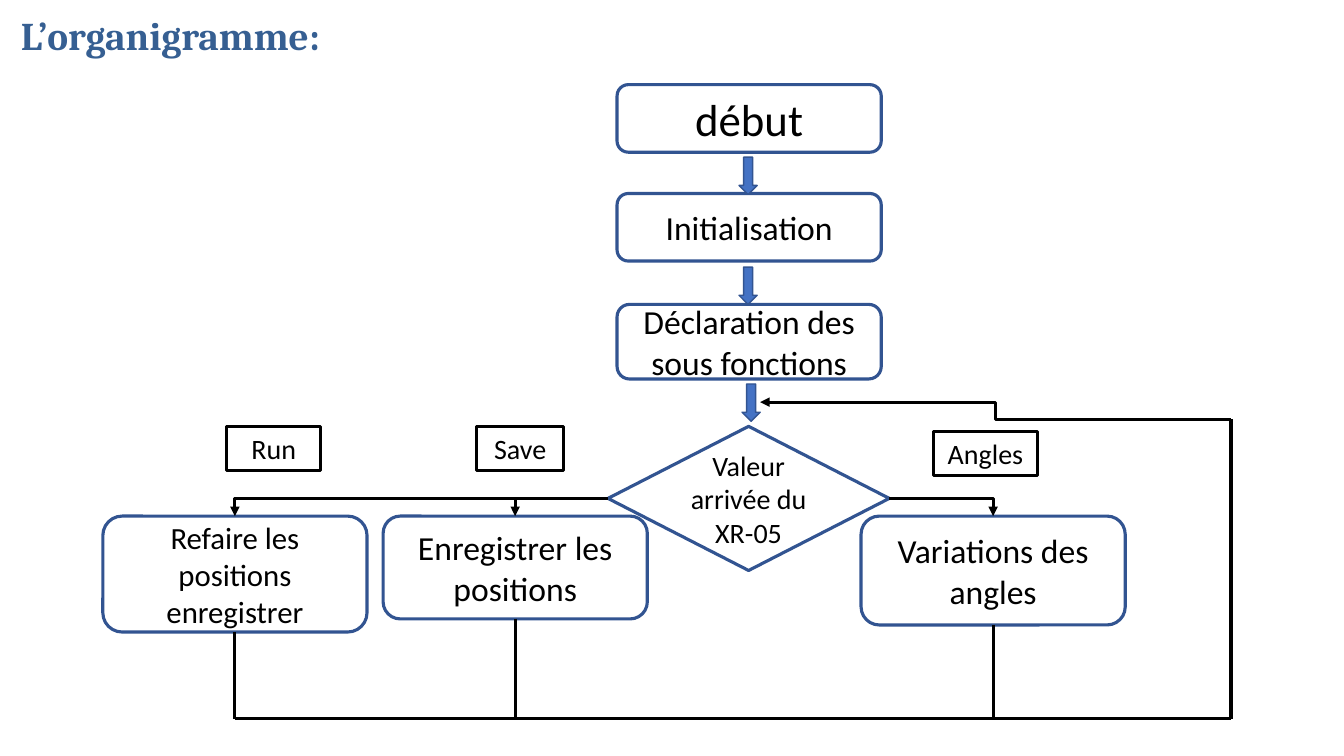
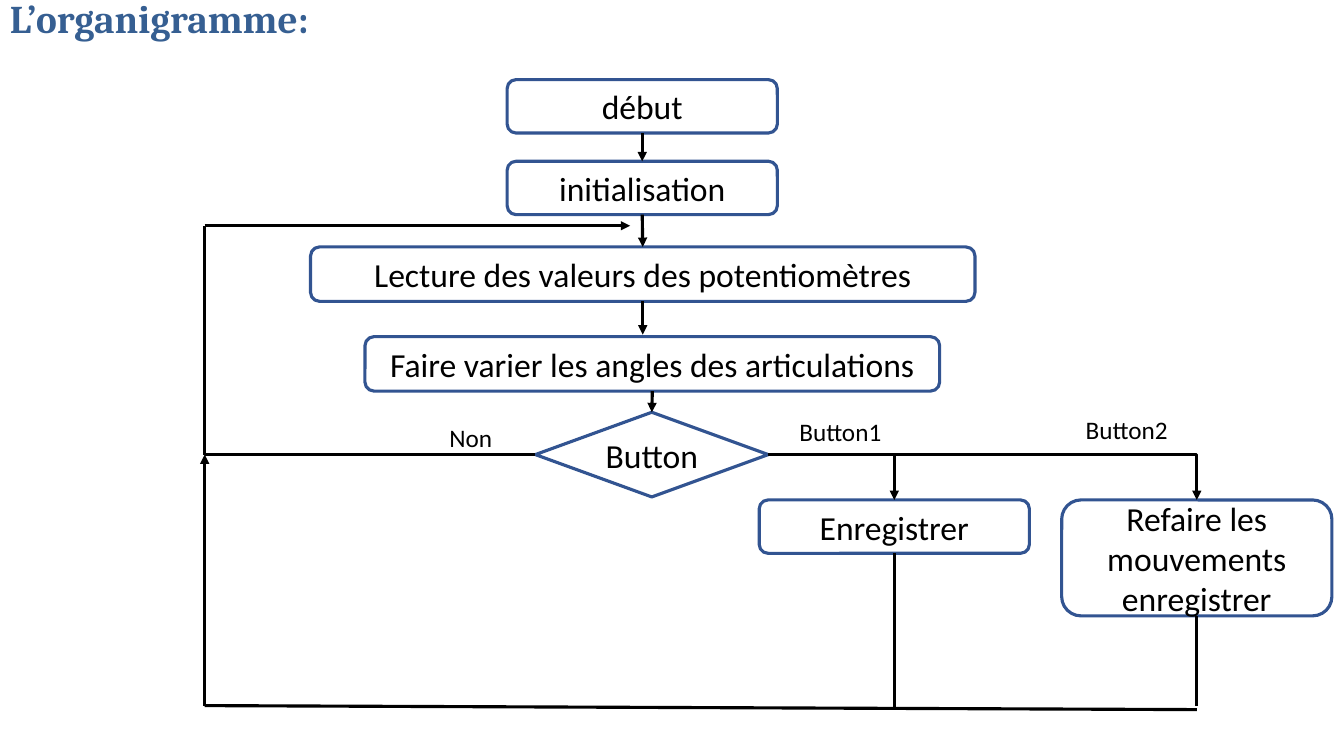
from dataclasses import dataclass
from itertools import pairwise
from typing import NamedTuple, Optional, Union

from pptx import Presentation
from pptx.dml.color import RGBColor
from pptx.enum.shapes import MSO_CONNECTOR, MSO_SHAPE
from pptx.enum.text import MSO_ANCHOR, MSO_AUTO_SIZE, PP_ALIGN
from pptx.oxml.ns import qn
from pptx.shapes.autoshape import Shape
from pptx.slide import Slide
from pptx.util import Inches, Pt
from lxml.etree import SubElement

COLORS = {
    "title": "365F92",
    "outline": "325491",
    "arrow": "4472C4",
    "box": "FFFFFF",
    "ink": "000000",
}
BODY_FONT, TITLE_FONT = "Calibri", "Cambria"
LINE_WIDTH = 2.25
# Connection sites of boxes and diamonds
TOP, LEFT, BOTTOM, RIGHT = range(4)


class Point(NamedTuple):
    x: float
    y: float


class Site(NamedTuple):
    shape: Shape
    index: int


End = Union[Point, Site]


@dataclass
class Node:
    text: str
    left: float
    top: float
    width: float
    height: float
    size: int = 24
    kind: MSO_SHAPE = MSO_SHAPE.ROUNDED_RECTANGLE
    fill: Optional[str] = "box"
    line: str = "outline"


@dataclass
class Note:
    text: str
    left: float
    top: float
    width: float


def rgb(name: str) -> RGBColor:
    return RGBColor.from_string(COLORS[name])


def style_text(sp: Shape, text: str, size: int, font: str = BODY_FONT,
               color: str = "ink", bold: bool = False,
               align: PP_ALIGN = PP_ALIGN.LEFT) -> None:
    p = sp.text_frame.paragraphs[0]
    p.text = text
    p.alignment = align
    p.font.name, p.font.size, p.font.bold = font, Pt(size), bold
    p.font.color.rgb = rgb(color)


def add_title(slide: Slide, left: float, top: float) -> None:
    sp = slide.shapes.add_textbox(Inches(left), Inches(top), Inches(3.25), Inches(0.53))
    tf = sp.text_frame
    tf.word_wrap = False
    tf.auto_size = MSO_AUTO_SIZE.SHAPE_TO_FIT_TEXT
    tf.vertical_anchor = MSO_ANCHOR.MIDDLE
    style_text(sp, "L’organigramme:", 28, TITLE_FONT, "title", bold=True)
    tf.paragraphs[0].line_spacing = 0.9


def add_preset(slide: Slide, kind: MSO_SHAPE, left: float, top: float, width: float,
               height: float, fill: Optional[str], line: str, weight: float) -> Shape:
    sp = slide.shapes.add_shape(kind, Inches(left), Inches(top),
                                Inches(width), Inches(height))
    sp.shadow.inherit = False
    if fill:
        sp.fill.solid()
        sp.fill.fore_color.rgb = rgb(fill)
    else:
        sp.fill.background()
    sp.line.color.rgb = rgb(line)
    sp.line.width = Pt(weight)
    return sp


def add_node(slide: Slide, node: Node) -> Shape:
    sp = add_preset(slide, node.kind, node.left, node.top, node.width, node.height,
                    node.fill, node.line, LINE_WIDTH)
    sp.text_frame.word_wrap = True
    sp.text_frame.vertical_anchor = MSO_ANCHOR.MIDDLE
    style_text(sp, node.text, node.size, align=PP_ALIGN.CENTER)
    return sp


def add_note(slide: Slide, note: Note) -> None:
    sp = slide.shapes.add_textbox(Inches(note.left), Inches(note.top),
                                  Inches(note.width), Inches(0.4))
    sp.text_frame.word_wrap = True
    style_text(sp, note.text, 18)


def locate(end: End) -> Point:
    if isinstance(end, Point):
        return end
    sp, index = end
    dx, dy = ((0.5, 0), (0, 0.5), (0.5, 1), (1, 0.5))[index]
    return Point((sp.left + dx * sp.width) / Inches(1),
                 (sp.top + dy * sp.height) / Inches(1))


def wire(slide: Slide, start: End, end: End, arrow: bool = False,
         preset: str = "line") -> None:
    """Connect two ends; ends given as sites are glued to their shapes."""
    kind = MSO_CONNECTOR.STRAIGHT if preset == "line" else MSO_CONNECTOR.ELBOW
    a, b = locate(start), locate(end)
    c = slide.shapes.add_connector(kind, Inches(a.x), Inches(a.y), Inches(b.x), Inches(b.y))
    if isinstance(start, Site):
        c.begin_connect(*start)
    if isinstance(end, Site):
        c.end_connect(*end)
    c.line.color.rgb = rgb("ink")
    c.line.width = Pt(LINE_WIDTH)
    sp_pr = c._element.spPr
    sp_pr.find(qn("a:prstGeom")).set("prst", preset)
    if arrow:
        SubElement(sp_pr.find(qn("a:ln")), qn("a:tailEnd"), type="triangle")
    SubElement(sp_pr, qn("a:effectLst"))


def drop(slide: Slide, sp: Shape, y: float) -> None:
    """Line from the bottom of a box straight down to y."""
    start = Site(sp, BOTTOM)
    wire(slide, start, Point(locate(start).x, y))


def build_remote_chart(slide: Slide) -> None:
    # Steps and decision
    col, width = 6.12, 2.62
    row = 5.12
    for node in (
        Node("début", col, 0.84, width, 0.67, 32),
        Node("Initialisation", col, 1.92, width, 0.67),
        Node("Déclaration des sous fonctions", col, 3.02, width, 0.74),
    ):
        add_node(slide, node)
    decision = add_node(slide, Node("Valeur arrivée du XR-05", 6.03, 4.23, 2.79, 1.43, 20,
                                    MSO_SHAPE.FLOWCHART_DECISION))
    angles = add_node(slide, Node("Variations des angles", 8.54, row, width, 1.08))
    save = add_node(slide, Node("Enregistrer les positions", 3.8, row, width, 1.02))
    run = add_node(slide, Node("Refaire les positions enregistrer", 1.02, row, width, 1.15, 22))

    # Block arrows
    for left, top in ((7.33, 1.56), (7.33, 2.65), (7.36, 3.81)):
        add_preset(slide, MSO_SHAPE.DOWN_ARROW, left, top, 0.18, 0.37,
                   "arrow", "outline", 1)

    # Branch labels
    for text, left, top, label_width in (("Save", 4.73, 4.23, 0.86),
                                         ("Run", 2.25, 4.23, 0.93),
                                         ("Angles", 9.26, 4.28, 1.03)):
        add_node(slide, Node(text, left, top, label_width, 0.44, 20,
                             MSO_SHAPE.RECTANGLE, None, "ink"))

    # Branches
    fork = Point(locate(Site(save, TOP)).x, locate(Site(decision, LEFT)).y)
    for start, target in ((Site(decision, LEFT), save),
                          (Site(decision, RIGHT), angles),
                          (fork, run)):
        wire(slide, start, Site(target, TOP), True, "bentConnector2")

    # Return loop
    bus, right, turn = 7.13, 12.21, 4.16
    for sp in (run, save, angles):
        drop(slide, sp, bus)
    wire(slide, Point(locate(Site(run, BOTTOM)).x, bus), Point(right, bus))
    wire(slide, Point(right, bus), Point(right, turn))
    wire(slide, Point(right, turn), Point(7.54, 3.99), True, "bentConnector3")


def build_button_chart(slide: Slide) -> None:
    # Steps and decision
    width, height = 2.68, 0.53
    start, init, read, move, decision, save, replay = (add_node(slide, n) for n in (
        Node("début", 5.03, 0.79, width, height),
        Node("initialisation", 5.03, 1.6, width, height),
        Node("Lecture des valeurs des potentiomètres", 3.08, 2.45, 6.59, 0.54),
        Node("Faire varier les angles des articulations", 3.62, 3.34, 5.7, 0.54),
        Node("Button", 5.31, 4.09, 2.31, 0.84, kind=MSO_SHAPE.FLOWCHART_DECISION),
        Node("Enregistrer", 7.53, 4.96, width, height),
        Node("Refaire les mouvements enregistrer", 10.53, 4.96, width, 1.15),
    ))

    # Downward flow
    for upper, lower in ((start, init), (init, read), (move, decision)):
        wire(slide, Site(upper, BOTTOM), Site(lower, TOP), True)
    wire(slide, Site(read, BOTTOM), Point(locate(Site(read, BOTTOM)).x, 3.32), True)

    # Branches
    fork = Point(locate(Site(save, TOP)).x, locate(Site(decision, RIGHT)).y)
    wire(slide, Site(decision, RIGHT), Site(save, TOP), True, "bentConnector2")
    wire(slide, fork, Site(replay, TOP), True, "bentConnector2")
    for note in (Note("Non", 4.36, 4.14, 1), Note("Button1", 7.83, 4.08, 1.5),
                 Note("Button2", 10.67, 4.06, 1.5)):
        add_note(slide, note)

    # Return loops
    left, bus, back = 2.03, 7, 2.24
    corner = Point(left, fork.y)
    route = (Site(decision, LEFT), corner, Point(left, back), Point(6.25, back))
    for a, b in pairwise(route):
        wire(slide, a, b, arrow=b is route[-1])
    drop(slide, save, 7.04)
    drop(slide, replay, bus)
    wire(slide, Point(locate(Site(replay, BOTTOM)).x, 7.04), Point(left, bus))
    wire(slide, Point(left, bus), corner, True)


def main() -> None:
    prs = Presentation()
    prs.slide_width, prs.slide_height = Inches(13.33), Inches(7.5)
    for build, left, top in ((build_remote_chart, 0.11, 0.11),
                             (build_button_chart, 0, -0.06)):
        slide = prs.slides.add_slide(prs.slide_layouts[6])
        build(slide)
        add_title(slide, left, top)
    prs.save("out.pptx")


if __name__ == "__main__":
    main()
